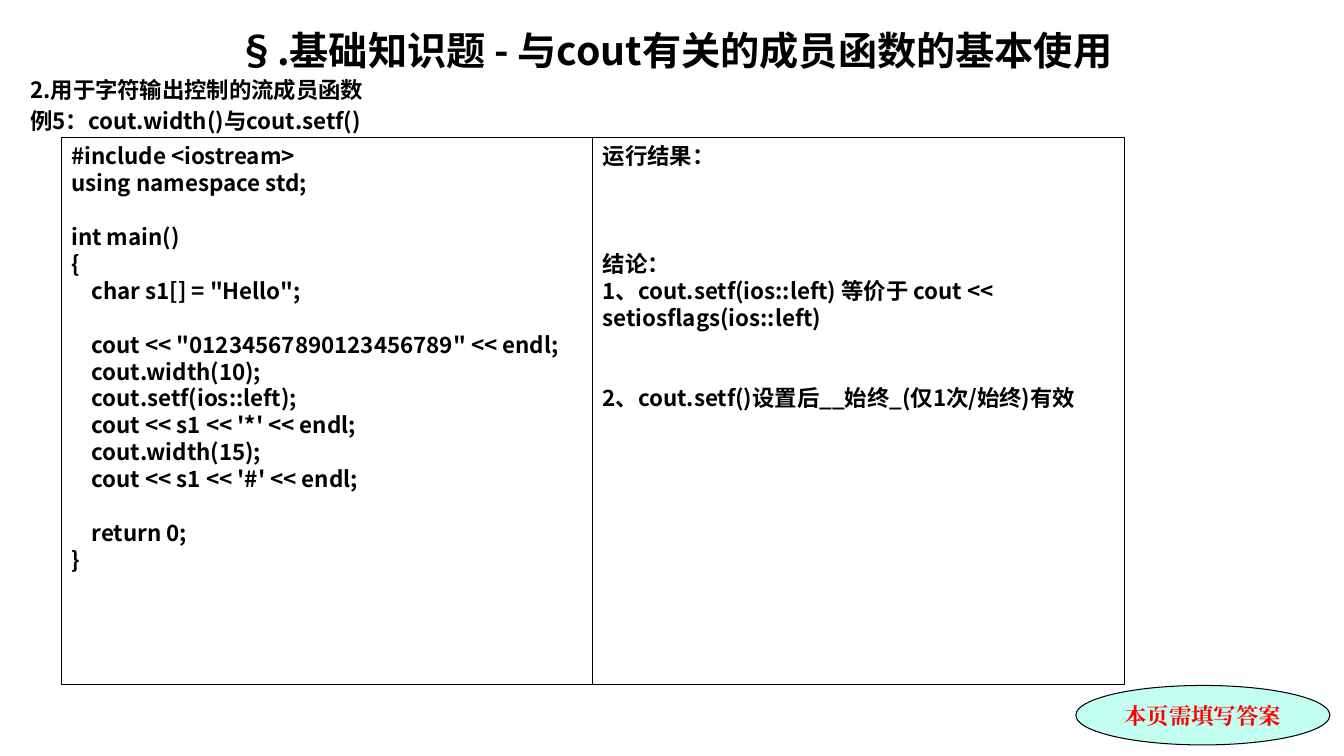
from lxml import etree
from pptx import Presentation
from pptx.dml.color import RGBColor
from pptx.enum.shapes import MSO_SHAPE
from pptx.enum.text import MSO_ANCHOR, MSO_AUTO_SIZE, PP_ALIGN
from pptx.oxml.ns import qn
from pptx.util import Inches, Pt

LEFT, CENTER = PP_ALIGN.LEFT, PP_ALIGN.CENTER
TOP, MIDDLE = MSO_ANCHOR.TOP, MSO_ANCHOR.MIDDLE
RECTANGLE, OVAL = MSO_SHAPE.RECTANGLE, MSO_SHAPE.OVAL
NO_AUTOFIT = MSO_AUTO_SIZE.NONE

COLORS = {"ink": "000000", "mint": "C2FFF0", "alert": "FF0000"}
SANS, SERIF = "Noto Sans CJK SC", "Times New Roman"
LINE_RATIO = 1.203
BODY_SIZE = 16
BODY_LINE = BODY_SIZE * LINE_RATIO

HEADING = "§.基础知识题 - 与cout有关的成员函数的基本使用"
TOPICS = ["2.用于字符输出控制的流成员函数", "例5：cout.width()与cout.setf()"]
CODE = """#include <iostream>
using namespace std;

int main()
{
    char s1[] = "Hello";

    cout << "01234567890123456789" << endl;
    cout.width(10);
    cout.setf(ios::left);
    cout << s1 << '*' << endl;
    cout.width(15);
    cout << s1 << '#' << endl;

    return 0;
}"""
FINDINGS = [
    ("运行结果：", 0),
    ("结论：", 3 * BODY_LINE),
    ("1、cout.setf(ios::left) 等价于 cout << setiosflags(ios::left)", 0),
    ("2、cout.setf()设置后__始终_(仅1次/始终)有效", 2 * BODY_LINE),
]


def rgb(name):
    """Return a palette colour."""
    return RGBColor.from_string(COLORS[name])


def code_lines(code):
    """Pair each code line with the space that its preceding empty lines take."""
    lines, gap = [], 0
    for line in code.splitlines():
        if line:
            lines.append((line, gap))
            gap = 0
        else:
            gap += BODY_LINE
    return lines


def write(frame, lines, size=BODY_SIZE, color="ink", face=SANS, align=LEFT, anchor=TOP):
    """Fill a text frame with (text, space before) lines in one bold style."""
    frame.word_wrap = True
    frame.auto_size = NO_AUTOFIT
    frame.vertical_anchor = anchor
    for index, (text, gap) in enumerate(lines):
        paragraph = frame.paragraphs[0] if index == 0 else frame.add_paragraph()
        paragraph.alignment = align
        paragraph.line_spacing = Pt(size * LINE_RATIO)
        paragraph.space_before = Pt(gap)
        paragraph.space_after = Pt(0)
        run = paragraph.add_run()
        run.text = text
        run.font.size = Pt(size)
        run.font.bold = True
        run.font.color.rgb = rgb(color)
        run.font.name = face
        etree.SubElement(run.font._element, qn("a:ea"), typeface=face)


def place(part, box):
    """Move a placeholder to a box given in inches."""
    part.left, part.top, part.width, part.height = map(Inches, box)


def add_outlined(slide, kind, box, fill=None):
    """Add a thinly outlined preset shape and return it."""
    shape = slide.shapes.add_shape(kind, *map(Inches, box))
    shape.shadow.inherit = False
    if fill:
        shape.fill.solid()
        shape.fill.fore_color.rgb = rgb(fill)
    else:
        shape.fill.background()
    shape.line.color.rgb = rgb("ink")
    shape.line.width = Pt(0.75)
    return shape


def build_header(slide, box):
    """Set the heading and, under it, the topic lines."""
    left, top, width, height = box
    heading_height = 0.49
    heading, topics = slide.shapes.title, slide.placeholders[1]
    place(heading, (left, top, width, heading_height))
    place(topics, (left, top + heading_height, width, height - heading_height))
    write(heading.text_frame, [(HEADING, 0)], size=28, align=CENTER)
    topic_gap = 0.2 * BODY_SIZE
    write(topics.text_frame, [(text, topic_gap * i) for i, text in enumerate(TOPICS)])


def build_panes(slide, box):
    """Split the box into equal panes for the code and the findings."""
    left, top, width, height = box
    pane_width = width / 2
    for column, lines in enumerate((code_lines(CODE), FINDINGS)):
        pane_box = (left + column * pane_width, top, pane_width, height)
        pane = add_outlined(slide, RECTANGLE, pane_box)
        write(pane.text_frame, lines)


def build_reminder(slide, box):
    """Add the oval reminder that answers are required."""
    reminder = add_outlined(slide, OVAL, box, fill="mint")
    frame = reminder.text_frame
    write(frame, [("本页需填写答案", 0)], color="alert", face=SERIF, align=CENTER, anchor=MIDDLE)
    frame.word_wrap = False


def main():
    """Build and save the slide."""
    deck = Presentation()
    deck.slide_width, deck.slide_height = Inches(13.33), Inches(7.5)
    slide = deck.slides.add_slide(deck.slide_layouts[0])
    build_header(slide, (0.2, 0.21, 12.99, 1.15))
    build_panes(slide, (0.61, 1.36, 10.54, 5.43))
    build_reminder(slide, (10.67, 6.8, 2.52, 0.59))
    deck.save("out.pptx")


if __name__ == "__main__":
    main()
